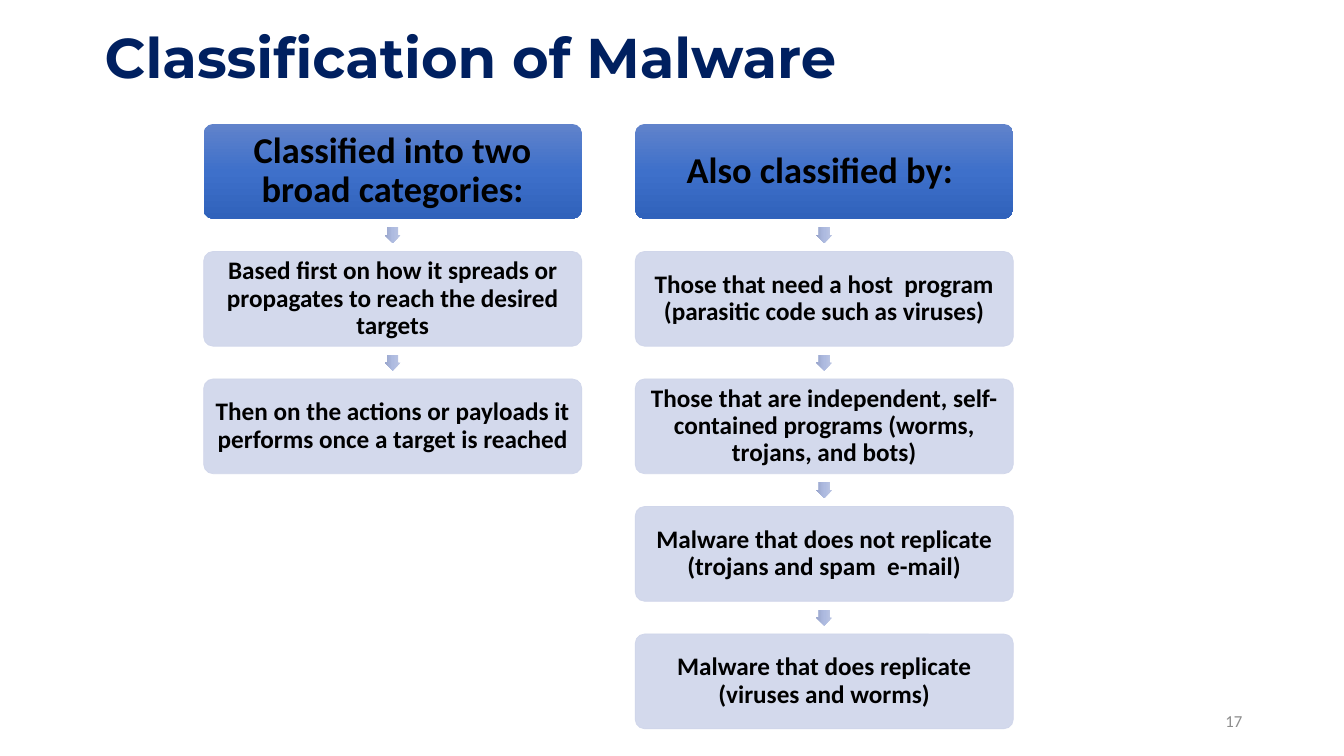
import copy

import pptx
import pptx.dml.color
import pptx.enum.shapes
import pptx.enum.text
import pptx.oxml.ns
import pptx.util
from lxml import etree

SHAPES = pptx.enum.shapes.MSO_SHAPE
ALIGN = pptx.enum.text.PP_ALIGN
ANCHOR = pptx.enum.text.MSO_ANCHOR

GRID_LEFT, GRID_TOP = 2.02, 1.23
COLUMN_PITCH, ROW_PITCH = 4.28, 1.265
CARD_WIDTH, CARD_HEIGHT = 3.75, 0.94
ARROW_SIZE = 0.16

HEADER_GRADIENT = ("6183CB", "3E70CA", "3062BB")
ARROW_GRADIENT = ("BBC5E3", "AEBBE0", "98A4CB")
CARD_COLOR = "CFD5EA"

COLUMNS = [
    (
        "Classified into two broad categories:",
        "Based first on how it spreads or propagates to reach the desired targets",
        "Then on the actions or payloads it performs once a target is reached",
    ),
    (
        "Also classified by: ",
        "Those that need a host  program (parasitic code such as viruses)",
        "Those that are independent, self-contained programs (worms, trojans, and bots)",
        "Malware that does not replicate (trojans and spam  e-mail)",
        "Malware that does replicate (viruses and worms)",
    ),
]


def rgb(color):
    return pptx.dml.color.RGBColor.from_string(color)


def inches(*lengths):
    return [pptx.util.Inches(length) for length in lengths]


def write_text(shape, text, size, color="000000", font="Calibri", bold=True,
               align=ALIGN.CENTER, spacing=0.9, inset=None):
    frame = shape.text_frame
    frame.word_wrap = True
    frame.vertical_anchor = ANCHOR.MIDDLE
    if inset is not None:
        margin = pptx.util.Inches(inset)
        frame.margin_left = frame.margin_right = margin
        frame.margin_top = frame.margin_bottom = margin
    paragraph = frame.paragraphs[0]
    paragraph.alignment = align
    paragraph.line_spacing = spacing
    run = paragraph.add_run()
    run.text = text
    run.font.size = pptx.util.Pt(size)
    run.font.name = font
    run.font.bold = bold
    run.font.color.rgb = rgb(color)


def fill_gradient(shape, colors):
    shape.fill.gradient()
    shape.fill.gradient_angle = 270
    stops = shape._element.spPr.find(".//" + pptx.oxml.ns.qn("a:gsLst"))
    middle = copy.deepcopy(stops[0])
    middle.set("pos", "50000")
    stops.insert(1, middle)
    for stop, color in zip(shape.fill.gradient_stops, colors):
        stop.color.rgb = rgb(color)


def fill_translucent(shape, color, opacity):
    shape.fill.solid()
    shape.fill.fore_color.rgb = rgb(color)
    shape.line.color.rgb = rgb(color)
    shape.line.width = pptx.util.Pt(0.5)
    for element in shape._element.spPr.iter(pptx.oxml.ns.qn("a:srgbClr")):
        alpha = etree.SubElement(element, pptx.oxml.ns.qn("a:alpha"))
        alpha.set("val", str(opacity * 1000))


def add_plain_shape(slide, kind, left, top, width, height):
    shape = slide.shapes.add_shape(kind, *inches(left, top, width, height))
    shape.shadow.inherit = False
    shape.line.fill.background()
    return shape


def add_card(slide, column, row, text):
    card = add_plain_shape(
        slide, SHAPES.ROUNDED_RECTANGLE,
        GRID_LEFT + column * COLUMN_PITCH, GRID_TOP + row * ROW_PITCH,
        CARD_WIDTH, CARD_HEIGHT)
    card.adjustments[0] = 0.1
    if row == 0:
        fill_gradient(card, HEADER_GRADIENT)
        write_text(card, text, size=26, inset=0.07)
    else:
        fill_translucent(card, CARD_COLOR, opacity=90)
        write_text(card, text, size=18, inset=0.06)


def add_arrow_above(slide, column, row):
    gap_middle = GRID_TOP + row * ROW_PITCH - (ROW_PITCH - CARD_HEIGHT) / 2
    card_middle = GRID_LEFT + column * COLUMN_PITCH + CARD_WIDTH / 2
    arrow = add_plain_shape(
        slide, SHAPES.RIGHT_ARROW,
        card_middle - ARROW_SIZE / 2, gap_middle - ARROW_SIZE / 2,
        ARROW_SIZE, ARROW_SIZE)
    arrow.rotation = 90
    arrow.adjustments[0] = 0.667
    arrow.adjustments[1] = 0.5
    fill_gradient(arrow, ARROW_GRADIENT)


def add_label(slide, left, top, width, height, text, **text_format):
    label = slide.shapes.add_textbox(*inches(left, top, width, height))
    write_text(label, text, **text_format)


def main():
    presentation = pptx.Presentation()
    presentation.slide_width, presentation.slide_height = inches(13.33, 7.5)
    slide = presentation.slides.add_slide(presentation.slide_layouts[6])

    add_label(slide, 0.94, 0.27, 9, 0.65, "Classification of Malware",
              size=40, color="002060", font="Montserrat", align=ALIGN.LEFT)
    for column, texts in enumerate(COLUMNS):
        for row, text in enumerate(texts):
            if row > 0:
                add_arrow_above(slide, column, row)
            add_card(slide, column, row, text)
    add_label(slide, 9.42, 6.95, 3, 0.4, "17", size=12, color="8C8C8C",
              bold=False, align=ALIGN.RIGHT, spacing=1.0)

    presentation.save("out.pptx")


if __name__ == "__main__":
    main()
